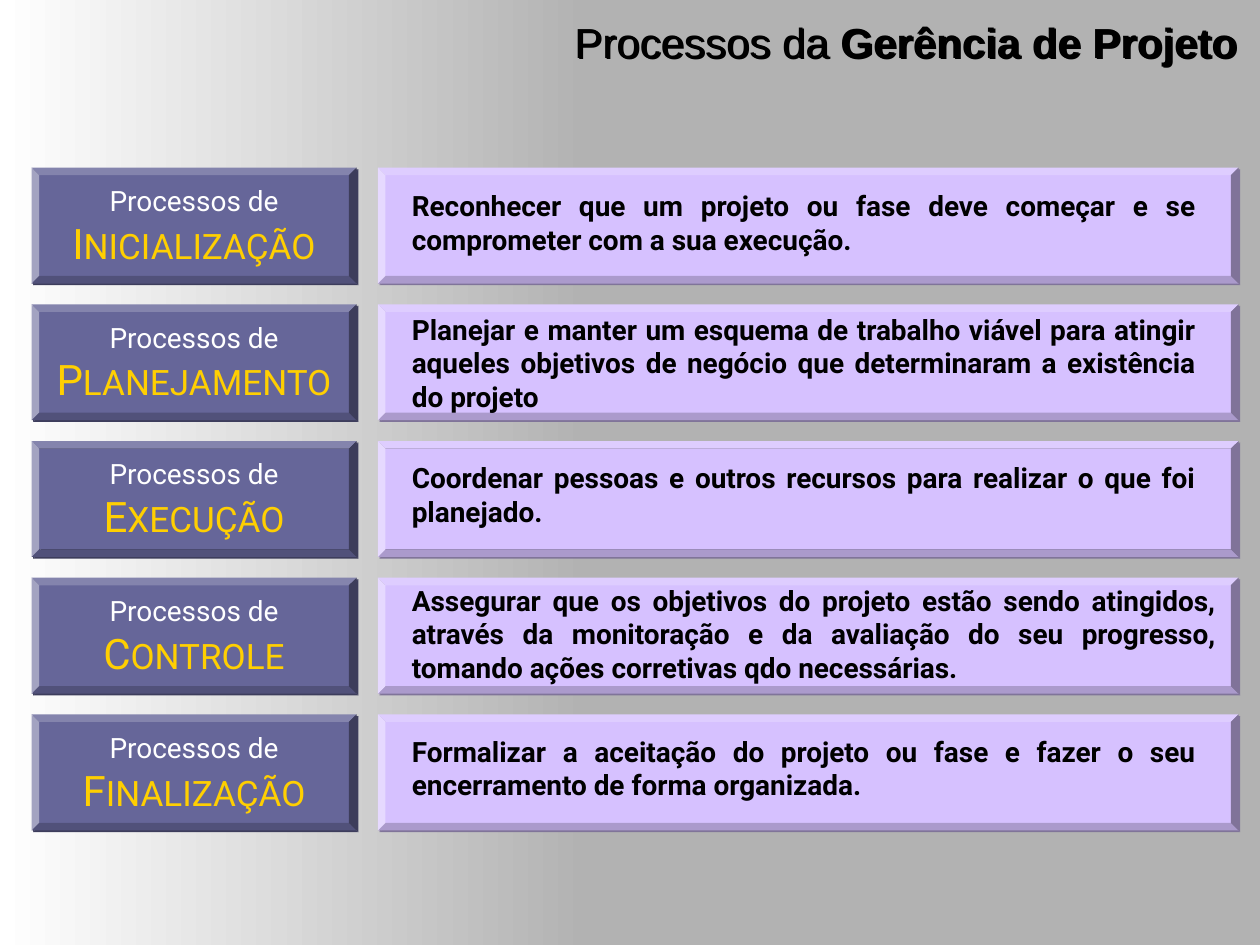
from lxml import etree
from pptx import Presentation
from pptx.dml.color import RGBColor
from pptx.enum.shapes import MSO_SHAPE
from pptx.enum.text import MSO_ANCHOR, MSO_AUTO_SIZE, PP_ALIGN
from pptx.oxml.ns import qn
from pptx.util import Inches, Pt

BEVEL, RECTANGLE = MSO_SHAPE.BEVEL, MSO_SHAPE.RECTANGLE
MIDDLE = MSO_ANCHOR.MIDDLE
FIT_SHAPE = MSO_AUTO_SIZE.SHAPE_TO_FIT_TEXT
LEFT, CENTER, JUSTIFY = PP_ALIGN.LEFT, PP_ALIGN.CENTER, PP_ALIGN.JUSTIFY

GRAY, WHITE, BLACK = "B2B2B2", "FFFFFF", "000000"
PURPLE, PURPLE_SHADOW = "666699", "3D3D5C"
LILAC, LILAC_SHADOW = "D6C1FF", "807499"
YELLOW = "FFCF01"

FIRST_TOP, LAST_TOP = 1.33, 5.67
ROW_HEIGHT = 0.92
BEVEL_DEPTH = 0.06

# Process name, description, and the description's top, width and height
PROCESSES = [
    ("INICIALIZAÇÃO",
     "Reconhecer que um projeto ou fase deve começar e se comprometer "
     "com a sua execução.", 1.45, 6.42, 0.64),
    ("PLANEJAMENTO",
     "Planejar e manter um esquema de trabalho viável para atingir aqueles "
     "objetivos de negócio que determinaram a existência do projeto",
     2.43, 6.42, 0.9),
    ("EXECUÇÃO",
     "Coordenar pessoas e outros recursos para realizar o que foi planejado.",
     3.61, 6.42, 0.64),
    ("CONTROLE",
     "Assegurar que os objetivos do projeto estão sendo atingidos, através da "
     "monitoração e da avaliação do seu progresso, tomando ações corretivas "
     "qdo necessárias.", 4.58, 6.58, 0.9),
    ("FINALIZAÇÃO",
     "Formalizar a aceitação do projeto ou fase e fazer o seu encerramento "
     "de forma organizada.", 5.78, 6.42, 0.64),
]


def color(value):
    return RGBColor.from_string(value)


def add_shadow(shape, value):
    """Give the shape a hard shadow down and to the right."""
    shape.shadow.inherit = False
    effects = shape._element.spPr.find(qn("a:effectLst"))
    shadow = etree.SubElement(effects, qn("a:outerShdw"), blurRad="0",
                              dist=str(Pt(1.4)), dir="2700000",
                              algn="ctr", rotWithShape="0")
    etree.SubElement(shadow, qn("a:srgbClr"), val=value)


def add_span(para, text, size, value, font="Roboto", bold=False):
    span = para.add_run()
    span.text = text
    span.font.size = Pt(size)
    span.font.name = font
    span.font.bold = bold
    span.font.color.rgb = color(value)


def add_text_box(page, left, top, width, height, align, wrap):
    box = page.shapes.add_textbox(Inches(left), Inches(top),
                                  Inches(width), Inches(height))
    box.text_frame.word_wrap = wrap
    box.text_frame.auto_size = FIT_SHAPE
    para = box.text_frame.paragraphs[0]
    para.alignment = align
    return box, para


def add_panel(page, left, top, width, fill, shadow):
    panel = page.shapes.add_shape(BEVEL, Inches(left), Inches(top),
                                  Inches(width), Inches(ROW_HEIGHT))
    panel.adjustments[0] = BEVEL_DEPTH / ROW_HEIGHT
    panel.fill.solid()
    panel.fill.fore_color.rgb = color(fill)
    panel.line.fill.background()
    add_shadow(panel, shadow)
    return panel


def add_process_label(page, top, name):
    panel = add_panel(page, 0.25, top, 2.58, PURPLE, PURPLE_SHADOW)
    frame = panel.text_frame
    frame.word_wrap = False
    frame.vertical_anchor = MIDDLE
    intro, title = frame.paragraphs[0], frame.add_paragraph()
    intro.alignment = title.alignment = CENTER
    add_span(intro, "Processos de", 16, WHITE)
    add_span(title, name[0], 24, YELLOW)
    add_span(title, name[1:], 20, YELLOW)


def add_background(page):
    page.background.fill.solid()
    page.background.fill.fore_color.rgb = color(GRAY)
    band = page.shapes.add_shape(RECTANGLE, 0, 0, Inches(4.67), Inches(7.5))
    band.fill.gradient()
    band.fill.gradient_angle = 0
    for stop, position, value in zip(band.fill.gradient_stops, (0, 1),
                                     (WHITE, GRAY)):
        stop.position = position
        stop.color.rgb = color(value)
    band.line.fill.background()
    band.shadow.inherit = False


def add_title(page):
    box, para = add_text_box(page, 4.46, 0.08, 5.46, 0.5, LEFT, False)
    add_span(para, "Processos da ", 24, BLACK, "Arial")
    add_span(para, "Gerência de Projeto", 24, BLACK, "Arial", True)
    add_shadow(box, BLACK)


def main():
    deck = Presentation()
    deck.slide_width, deck.slide_height = Inches(10), Inches(7.5)
    page = deck.slides.add_slide(deck.slide_layouts[6])
    add_background(page)
    add_title(page)

    # One row per process: label, panel and description
    step = (LAST_TOP - FIRST_TOP) / (len(PROCESSES) - 1)
    for row, (name, description, text_top, width, height) in enumerate(PROCESSES):
        top = FIRST_TOP + row * step
        add_process_label(page, top, name)
        add_panel(page, 3, top, 6.83, LILAC, LILAC_SHADOW)
        _, para = add_text_box(page, 3.17, text_top, width, height, JUSTIFY, True)
        add_span(para, description, 16, BLACK, bold=True)

    deck.save("out.pptx")


if __name__ == "__main__":
    main()
